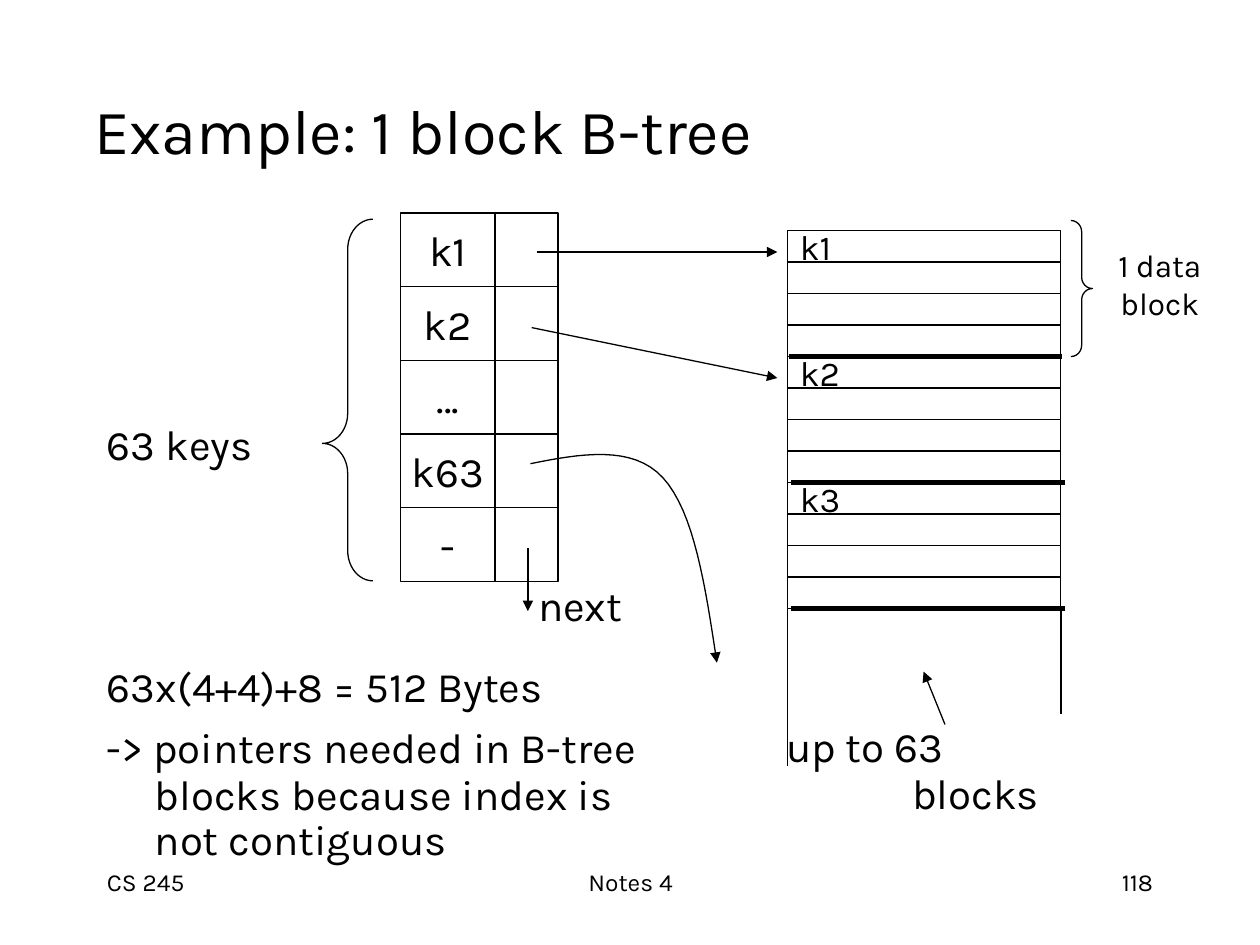
"""Build the slide on a one-block B-tree example."""
from lxml.etree import SubElement
from pptx import Presentation
from pptx.dml.color import RGBColor
from pptx.enum.shapes import MSO_CONNECTOR as Link, MSO_SHAPE as Preset
from pptx.enum.text import MSO_ANCHOR as Anchor, PP_ALIGN as Align
from pptx.oxml.ns import qn
from pptx.util import Inches, Pt

BLACK = RGBColor(0, 0, 0)
WHITE = RGBColor(255, 255, 255)
FONT = "Karla"
COLUMNS, ROWS = 10, 7.5
UNIT = Inches(1)

TITLE = "Example: 1 block B-tree"
FOOTERS = [
    ("CS 245", 0.75, 2.08, Align.LEFT),
    ("Notes 4", 3.42, 3.17, Align.CENTER),
    ("118", 7.17, 2.08, Align.RIGHT),
]
KEYS = ["k1", "k2", "...", "k63", "-"]
DATA_BLOCKS = ["k1", "k2", "k3"]
RECORDS_PER_BLOCK = 4
NOTES = ["63x(4+4)+8 = 512 Bytes", "-> pointers needed in B-tree",
         "blocks because index is", "not contiguous"]
BLOCK_COUNT = ["up to 63", "blocks"]
BLOCK_LABEL = ["1 data", "block"]

KEY_LEFT, KEY_TOP, KEY_W, POINTER_W, KEY_H = 3.18, 1.69, 0.75, 0.5, 0.585
DATA_LEFT, DATA_TOP, DATA_W, RECORD_H = 6.25, 1.83, 2.17, 0.25
DATA_RIGHT = DATA_LEFT + DATA_W
BLOCK_H = RECORD_H * RECORDS_PER_BLOCK
DATA_BOTTOM = DATA_TOP + BLOCK_H * len(DATA_BLOCKS)

POINTERS = [
    ((4.26, 2), (6.17, 2)),
    ((4.22, 2.6), (6.17, 3)),
    ((4.19, 4.35), (4.19, 4.85)),
    ((7.5, 5.75), (7.33, 5.33)),
]
OPEN_SIDES = [
    ((DATA_LEFT, DATA_BOTTOM), (DATA_LEFT, 6.08)),
    ((DATA_RIGHT, DATA_BOTTOM), (DATA_RIGHT, 5.67)),
]
LAST_POINTER = [
    ((4.21, 3.68), (4.61, 3.6), (5.02, 3.53), (5.26, 3.79)),
    ((5.26, 3.79), (5.51, 4.06), (5.6, 4.66), (5.69, 5.26)),
]
CURVE_STEPS = 16

deck = Presentation()
deck.slide_width, deck.slide_height = COLUMNS * UNIT, int(ROWS * UNIT)
slide = deck.slides.add_slide(deck.slide_layouts[6])
shapes = slide.shapes


def emu(*lengths):
    return [round(length * UNIT) for length in lengths]


def write(shape, lines, size=24, align=Align.LEFT, anchor=Anchor.TOP,
          wrap=False, hang=0, indents=None, tight_from=None):
    frame = shape.text_frame
    frame.word_wrap = wrap
    frame.vertical_anchor = anchor
    for index, line in enumerate(lines):
        paragraph = frame.paragraphs[0] if index == 0 else frame.add_paragraph()
        paragraph.text = line
        paragraph.alignment = align
        if indents:
            paragraph._p.get_or_add_pPr().set("marL", str(emu(indents[index])[0]))
        if tight_from is not None and index:
            paragraph.space_before = Pt(6)
            if index >= tight_from:
                paragraph.line_spacing = 0.7
        font = paragraph.font
        font.name, font.size, font.color.rgb = FONT, Pt(size), BLACK


def text_box(lines, left, top, width, height, **style):
    write(shapes.add_textbox(*emu(left, top, width, height)), lines, **style)


def outline(shape, filled):
    shape.shadow.inherit = False
    if filled:
        shape.fill.solid()
        shape.fill.fore_color.rgb = WHITE
    else:
        shape.fill.background()
    shape.line.color.rgb = BLACK
    shape.line.width = Pt(0.75)
    return shape


def cell(left, top, width, height, label="", **style):
    box = outline(shapes.add_shape(Preset.RECTANGLE, *emu(left, top, width, height)), True)
    if label:
        write(box, [label], anchor=Anchor.MIDDLE, **style)


def brace(kind, left, top, width, height, curl, point):
    shape = outline(shapes.add_shape(kind, *emu(left, top, width, height)), False)
    shape.adjustments[0], shape.adjustments[1] = curl, point


def add_arrowhead(shape):
    SubElement(shape.line._get_or_add_ln(), qn("a:tailEnd"), type="triangle")


def link(start, end, weight=0.75, arrow=False):
    line = shapes.add_connector(Link.STRAIGHT, *emu(*start, *end))
    line.line.color.rgb = BLACK
    line.line.width = Pt(weight)
    if arrow:
        add_arrowhead(line)
    SubElement(line._element.spPr, qn("a:effectLst"))


def bezier(points, t):
    weights = ((1 - t) ** 3, 3 * t * (1 - t) ** 2, 3 * t * t * (1 - t), t ** 3)
    return tuple(sum(w * p[axis] for w, p in zip(weights, points)) for axis in (0, 1))


text_box([TITLE], 0.65, 0.4, 8.5, 1.25, size=36, anchor=Anchor.MIDDLE, wrap=True)
for label, left, width, align in FOOTERS:
    text_box([label], left, 6.83, width, 0.5, size=14, align=align, wrap=True)
text_box(["63 keys"], 0.75, 3.27, 1.5, 0.5)
text_box(NOTES, 0.75, 5.19, 4.8, 1.7, indents=[0, 0, 0.38, 0.38], tight_from=2)
text_box(BLOCK_COUNT, 6.14, 5.67, 2.5, 0.9, indents=[0, 1], tight_from=1)
text_box(BLOCK_LABEL, 8.74, 1.91, 0.93, 0.68, size=18, align=Align.CENTER,
         anchor=Anchor.MIDDLE)
text_box(["next"], 4.16, 4.55, 0.89, 0.5, align=Align.CENTER, anchor=Anchor.MIDDLE)

for row, key in enumerate(KEYS):
    top = KEY_TOP + row * KEY_H
    cell(KEY_LEFT, top, KEY_W, KEY_H, key, align=Align.CENTER)
    cell(KEY_LEFT + KEY_W, top, POINTER_W, KEY_H)

for block, key in enumerate(DATA_BLOCKS):
    for record in range(RECORDS_PER_BLOCK):
        top = DATA_TOP + block * BLOCK_H + record * RECORD_H
        cell(DATA_LEFT, top, DATA_W, RECORD_H, "" if record else key, size=20)
for block in range(len(DATA_BLOCKS)):
    bottom = DATA_TOP + (block + 1) * BLOCK_H
    shift = 0.03 if block else 0.01
    link((DATA_LEFT + shift, bottom), (DATA_RIGHT + shift, bottom), weight=3)

for start, end in OPEN_SIDES:
    link(start, end)
for start, end in POINTERS:
    link(start, end, arrow=True)

brace(Preset.LEFT_BRACE, 2.56, 1.74, 0.4, 2.87, 0.6, 0.62)
brace(Preset.RIGHT_BRACE, 8.5, 1.75, 0.17, 1.08, 0.53, 0.5)

curve = [bezier(part, step / CURVE_STEPS)
         for part in LAST_POINTER for step in range(1, CURVE_STEPS + 1)]
builder = shapes.build_freeform(*emu(*LAST_POINTER[0][0]))
builder.add_line_segments([emu(*point) for point in curve], close=False)
add_arrowhead(outline(builder.convert_to_shape(), False))

deck.save("out.pptx")
